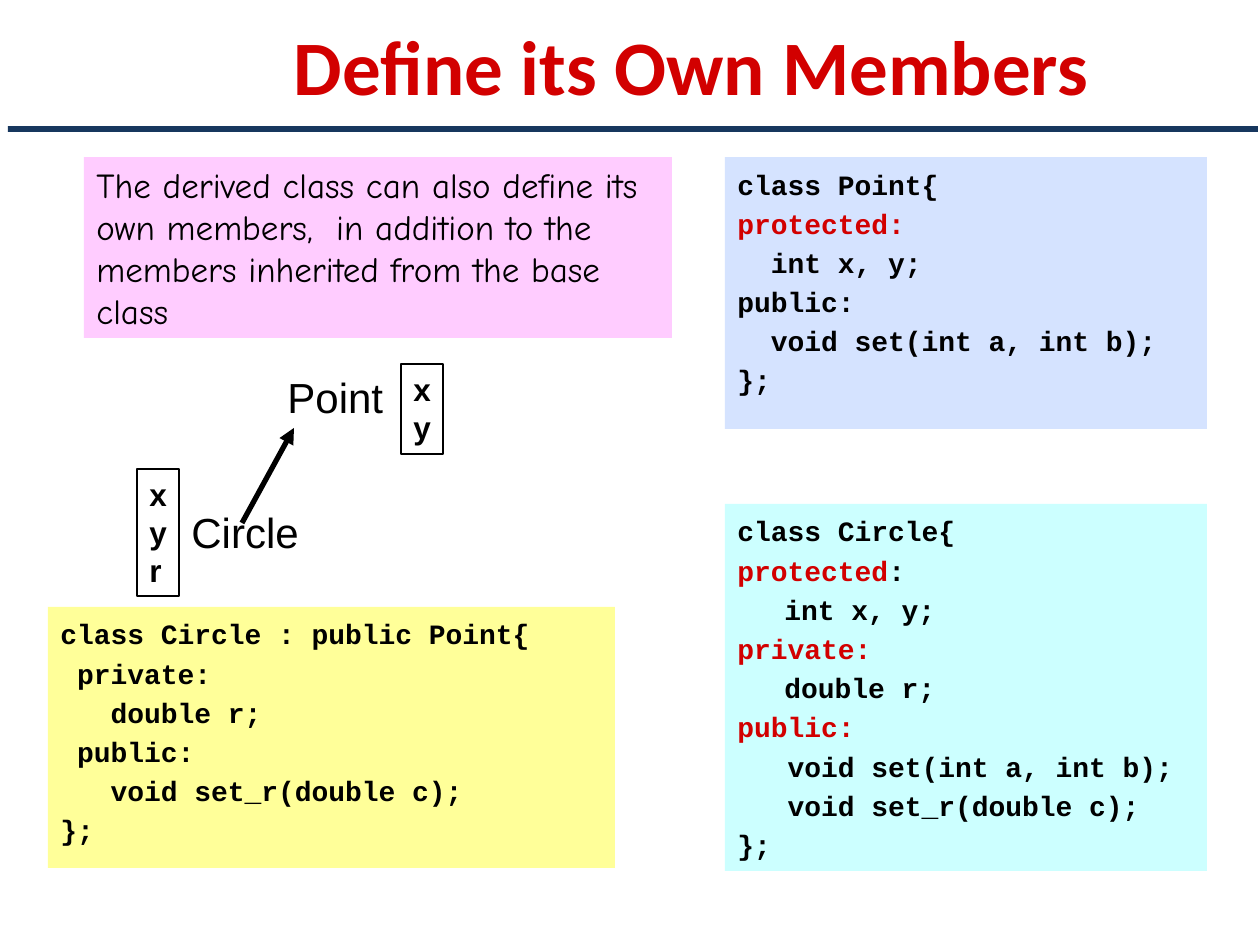
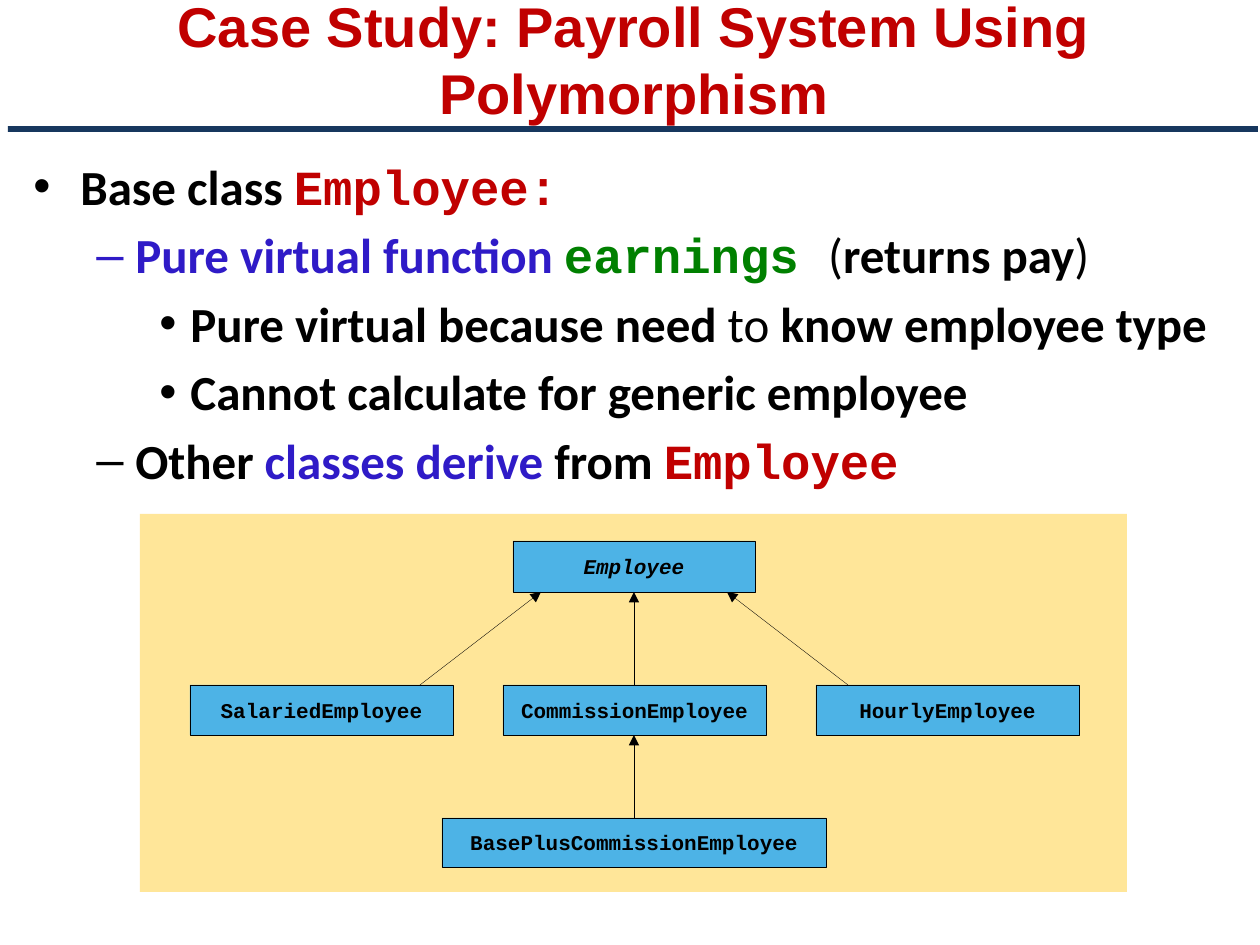
from dataclasses import dataclass
from typing import NamedTuple, Optional

from lxml.etree import SubElement
from pptx import Presentation
from pptx.dml.color import RGBColor
from pptx.enum.shapes import MSO_CONNECTOR as Connector, MSO_SHAPE as Preset
from pptx.enum.text import MSO_ANCHOR as Anchor, MSO_AUTO_SIZE as AutoSize, PP_ALIGN as Align
from pptx.oxml.ns import qn
from pptx.util import Emu, Pt

PX = 914400 / 126


@dataclass(frozen=True)
class Theme:
    black: str = "000000"
    band: str = "17375E"
    red: str = "D20000"
    dark_red: str = "C00000"
    blue: str = "2F1BC7"
    green: str = "008000"
    pink: str = "FFCCFF"
    pale_blue: str = "D5E3FF"
    yellow: str = "FFFF99"
    cyan: str = "CCFFFF"
    sand: str = "FFE699"
    sky: str = "4DB3E6"
    sans: str = "Arial"
    body: str = "Calibri"
    mono: str = "Courier New"
    hand: str = "Comic Neue"
    bullet_size: int = 28
    label_size: int = 24
    note_size: int = 20
    member_size: int = 18
    code_size: int = 16
    class_size: int = 12
    leading: float = 1.2
    paragraph_gap: float = 0.2


THEME = Theme()


class Box(NamedTuple):
    left: int
    top: int
    width: int
    height: int


class Style(NamedTuple):
    font: str
    size: int
    color: str = THEME.black
    bold: bool = False
    italic: bool = False


class Span(NamedTuple):
    text: str
    color: str = THEME.black
    font: str = THEME.body
    bold: bool = True


class Level(NamedTuple):
    margin: int
    hanging: int
    mark: str


class Bullet(NamedTuple):
    level: int
    spans: tuple[Span, ...]
    mark_color: str = THEME.black


class Listing(NamedTuple):
    box: Box
    fill: str
    lines: tuple[tuple[Span, ...], ...]


def px(length: float) -> Emu:
    return Emu(round(length * PX))


def rgb(color: str) -> RGBColor:
    return RGBColor.from_string(color)


def place(box: Box) -> list[Emu]:
    return [px(length) for length in box]


def format_run(run, style: Style) -> None:
    font = run.font
    font.name, font.size = style.font, Pt(style.size)
    font.bold, font.italic = style.bold, style.italic
    font.color.rgb = rgb(style.color)


def set_leading(paragraph, size: int) -> None:
    paragraph.line_spacing = Pt(size * THEME.leading)


def write(frame, text: str, style: Style, align: Align = Align.LEFT) -> None:
    frame.text = text
    for paragraph in frame.paragraphs:
        paragraph.alignment = align
        set_leading(paragraph, style.size)
        for run in paragraph.runs:
            format_run(run, style)


def write_spans(paragraph, spans: tuple[Span, ...], size: int, first: bool) -> None:
    set_leading(paragraph, size)
    paragraph.alignment = Align.LEFT
    if not first:
        paragraph.space_before = Pt(size * THEME.paragraph_gap)
    for span in spans:
        run = paragraph.add_run()
        run.text = span.text
        format_run(run, Style(span.font, size, span.color, span.bold))


def indent(paragraph, margin: int, hanging: int):
    properties = paragraph._p.get_or_add_pPr()
    properties.set("marL", str(px(margin)))
    properties.set("indent", str(-px(hanging)))
    return properties


def add_rect(slide, box: Box, fill: Optional[str] = None, line: Optional[str] = None,
             line_width: float = 0.75):
    rect = slide.shapes.add_shape(Preset.RECTANGLE, *place(box))
    rect.shadow.inherit = False
    if fill:
        rect.fill.solid()
        rect.fill.fore_color.rgb = rgb(fill)
    else:
        rect.fill.background()
    if line:
        rect.line.color.rgb = rgb(line)
        rect.line.width = Pt(line_width)
    else:
        rect.line.fill.background()
    rect.text_frame.vertical_anchor = Anchor.TOP
    return rect


def add_arrow(slide, start: tuple[int, int], end: tuple[int, int], width: float) -> None:
    arrow = slide.shapes.add_connector(
        Connector.STRAIGHT, *(px(length) for length in (*start, *end)))
    arrow.line.color.rgb = rgb(THEME.black)
    arrow.line.width = Pt(width)
    SubElement(arrow.line._get_or_add_ln(), qn("a:tailEnd"), type="triangle")
    SubElement(arrow._element.spPr, qn("a:effectLst"))


def add_titled_slide(deck, title: str, box: Box, style: Style):
    slide = deck.slides.add_slide(deck.slide_layouts[5])
    heading = slide.shapes.title
    heading.left, heading.top, heading.width, heading.height = place(box)
    frame = heading.text_frame
    frame.auto_size = AutoSize.NONE
    frame.word_wrap = True
    frame.vertical_anchor = Anchor.MIDDLE
    write(frame, title, style, Align.CENTER)
    add_rect(slide, Box(8, 126, 1250, 6), THEME.band)
    return slide


def add_label(slide, text: str, box: Box) -> None:
    frame = slide.shapes.add_textbox(*place(box)).text_frame
    frame.word_wrap = False
    write(frame, text, Style(THEME.sans, THEME.label_size))


def add_members(slide, names: str, box: Box) -> None:
    frame = add_rect(slide, box, line=THEME.black).text_frame
    frame.word_wrap = False
    write(frame, names, Style(THEME.sans, THEME.member_size, bold=True))


def add_listing(slide, listing: Listing) -> None:
    frame = add_rect(slide, listing.box, listing.fill).text_frame
    frame.word_wrap = True
    frame.margin_top = px(10)
    for number, spans in enumerate(listing.lines):
        paragraph = frame.add_paragraph() if number else frame.paragraphs[0]
        indent(paragraph, 47, 47)
        write_spans(paragraph, spans, THEME.code_size, number == 0)


def add_bullets(slide, box: Box, levels: tuple[Level, ...], bullets: tuple[Bullet, ...]) -> None:
    frame = slide.shapes.add_textbox(*place(box)).text_frame
    frame.word_wrap = True
    for number, bullet in enumerate(bullets):
        paragraph = frame.add_paragraph() if number else frame.paragraphs[0]
        level = levels[bullet.level]
        paragraph.level = bullet.level
        properties = indent(paragraph, level.margin, level.hanging)
        mark_color = SubElement(properties, qn("a:buClr"))
        SubElement(mark_color, qn("a:srgbClr"), val=bullet.mark_color)
        SubElement(properties, qn("a:buFont"), typeface=THEME.sans)
        SubElement(properties, qn("a:buChar"), char=level.mark)
        write_spans(paragraph, bullet.spans, THEME.bullet_size, number == 0)


def add_class(slide, name: str, center: int, top: int, width: int, height: int,
              italic: bool = False) -> None:
    box = Box(center - width // 2, top, width, height)
    frame = add_rect(slide, box, THEME.sky, THEME.black, 0.2).text_frame
    frame.margin_left = frame.margin_right = frame.margin_top = frame.margin_bottom = 0
    frame.vertical_anchor = Anchor.MIDDLE
    frame.word_wrap = False
    write(frame, name, Style(THEME.mono, THEME.class_size, bold=True, italic=italic), Align.CENTER)


def code(text: str, color: str = THEME.black) -> Span:
    return Span(text, color, THEME.mono)


def build_members_slide(deck) -> None:
    slide = add_titled_slide(deck, "Define its Own Members", Box(126, 0, 1131, 130),
                             Style(THEME.body, 44, THEME.red, True))
    add_label(slide, "Point", Box(275, 365, 122, 63))
    add_label(slide, "Circle", Box(179, 500, 134, 63))
    add_members(slide, "x\ny", Box(401, 364, 42, 90))
    add_members(slide, "x\ny\nr", Box(137, 469, 42, 127))
    add_arrow(slide, (242, 523), (294, 428), 3)

    point = Listing(Box(725, 157, 482, 272), THEME.pale_blue, (
        (code("class Point{"),),
        (code("protected:", THEME.red),),
        (code("  int x, y;"),),
        (code("public:"),),
        (code("  void set(int a, int b);"),),
        (code("};"),),
    ))
    derived_circle = Listing(Box(48, 607, 567, 261), THEME.yellow, (
        (code("class Circle : public Point{"),),
        (code(" private:"),),
        (code("   double r;"),),
        (code(" public:"),),
        (code("   void set_r(double c);"),),
        (code("};"),),
    ))
    full_circle = Listing(Box(725, 504, 482, 367), THEME.cyan, (
        (code("class Circle{"),),
        (code("protected", THEME.red), code(":")),
        (code("\tint x, y;"),),
        (code("private:", THEME.red),),
        (code("\tdouble r;"),),
        (code("public:", THEME.red),),
        (code("   void set(int a, int b);"),),
        (code("   void set_r(double c);"),),
        (code("};"),),
    ))
    for listing in (point, derived_circle, full_circle):
        add_listing(slide, listing)

    note = add_rect(slide, Box(84, 157, 588, 181), THEME.pink).text_frame
    note.word_wrap = True
    write(note, "The derived class can also define its own members,  in addition to the "
                "members inherited from the base class", Style(THEME.hand, THEME.note_size))


def build_payroll_slide(deck) -> None:
    slide = add_titled_slide(deck, "Case Study: Payroll System Using Polymorphism",
                             Box(8, 0, 1252, 118), Style(THEME.sans, 32, THEME.dark_red, True))
    levels = (Level(47, 47, "•"), Level(102, 39, "–"), Level(157, 31, "•"))
    add_bullets(slide, Box(21, 150, 1239, 360), levels, (
        Bullet(0, (Span("Base class "), code("Employee:", THEME.dark_red))),
        Bullet(1, (Span("Pure virtual function ", THEME.blue), code("earnings ", THEME.green),
                   Span("(", bold=False), Span("returns pay"), Span(")", bold=False)),
               THEME.blue),
        Bullet(2, (Span("Pure virtual because need"), Span(" to ", bold=False),
                   Span("know employee type"))),
        Bullet(2, (Span("Cannot calculate for generic employee"),)),
        Bullet(1, (Span("Other "), Span("classes derive ", THEME.blue), Span("from "),
                   code("Employee", THEME.dark_red))),
    ))

    add_rect(slide, Box(140, 514, 987, 378), THEME.sand)
    axis, spread = 634, 313
    base_bottom, derived_top, derived_bottom, leaf_top = 592, 685, 735, 818
    add_class(slide, "Employee", axis, 541, 242, 51, italic=True)
    derived = ("SalariedEmployee", "CommissionEmployee", "HourlyEmployee")
    for side, name in enumerate(derived, start=-1):
        add_class(slide, name, axis + side * spread, derived_top, 263, 50)
        add_arrow(slide, (axis + side * 214, derived_top), (axis + side * 93, base_bottom), 0.2)
    add_class(slide, "BasePlusCommissionEmployee", axis, leaf_top, 384, 49)
    add_arrow(slide, (axis, leaf_top), (axis, derived_bottom), 0.2)


def main() -> None:
    deck = Presentation()
    deck.slide_width, deck.slide_height = px(1260), px(945)
    build_members_slide(deck)
    build_payroll_slide(deck)
    deck.save("out.pptx")


if __name__ == "__main__":
    main()
